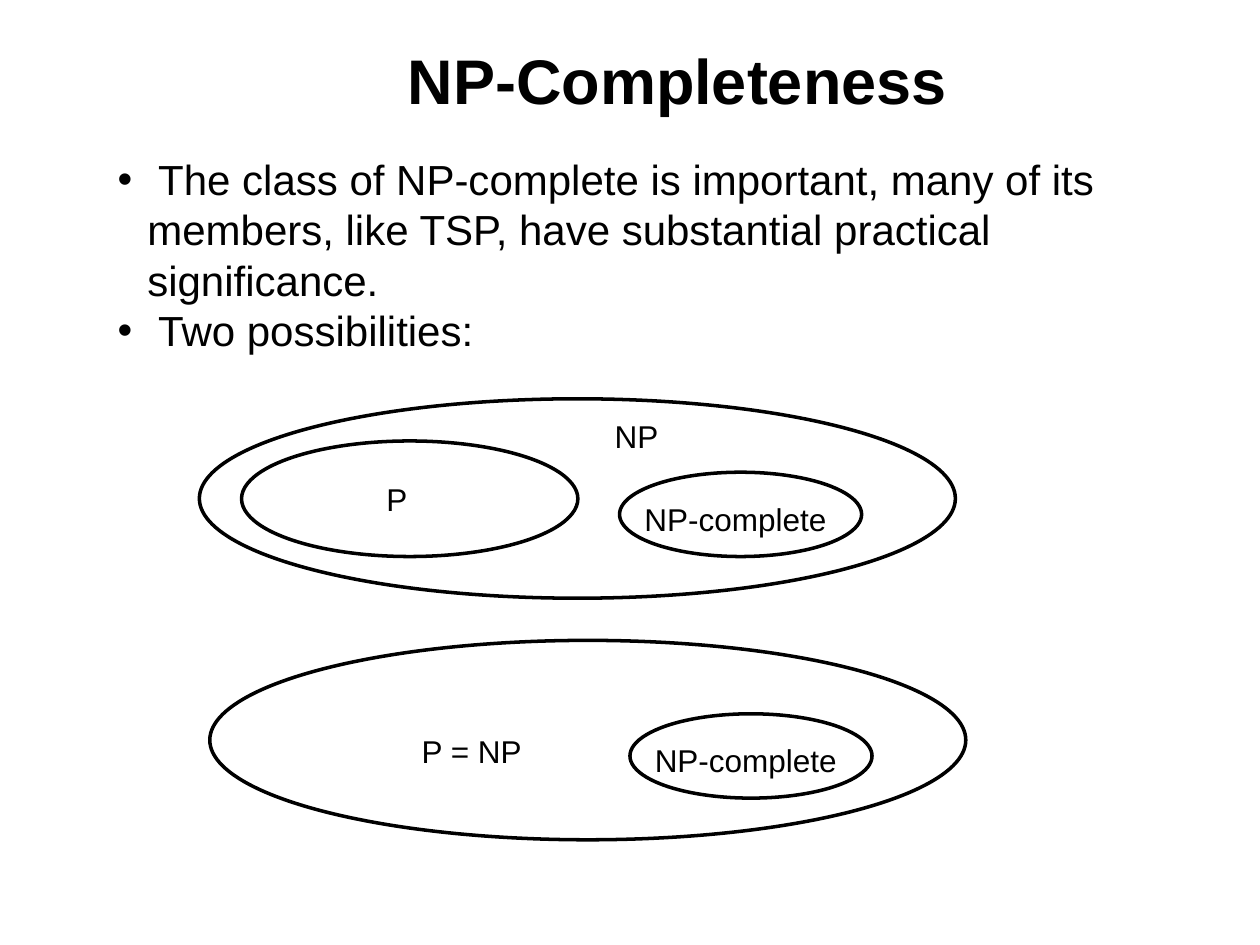
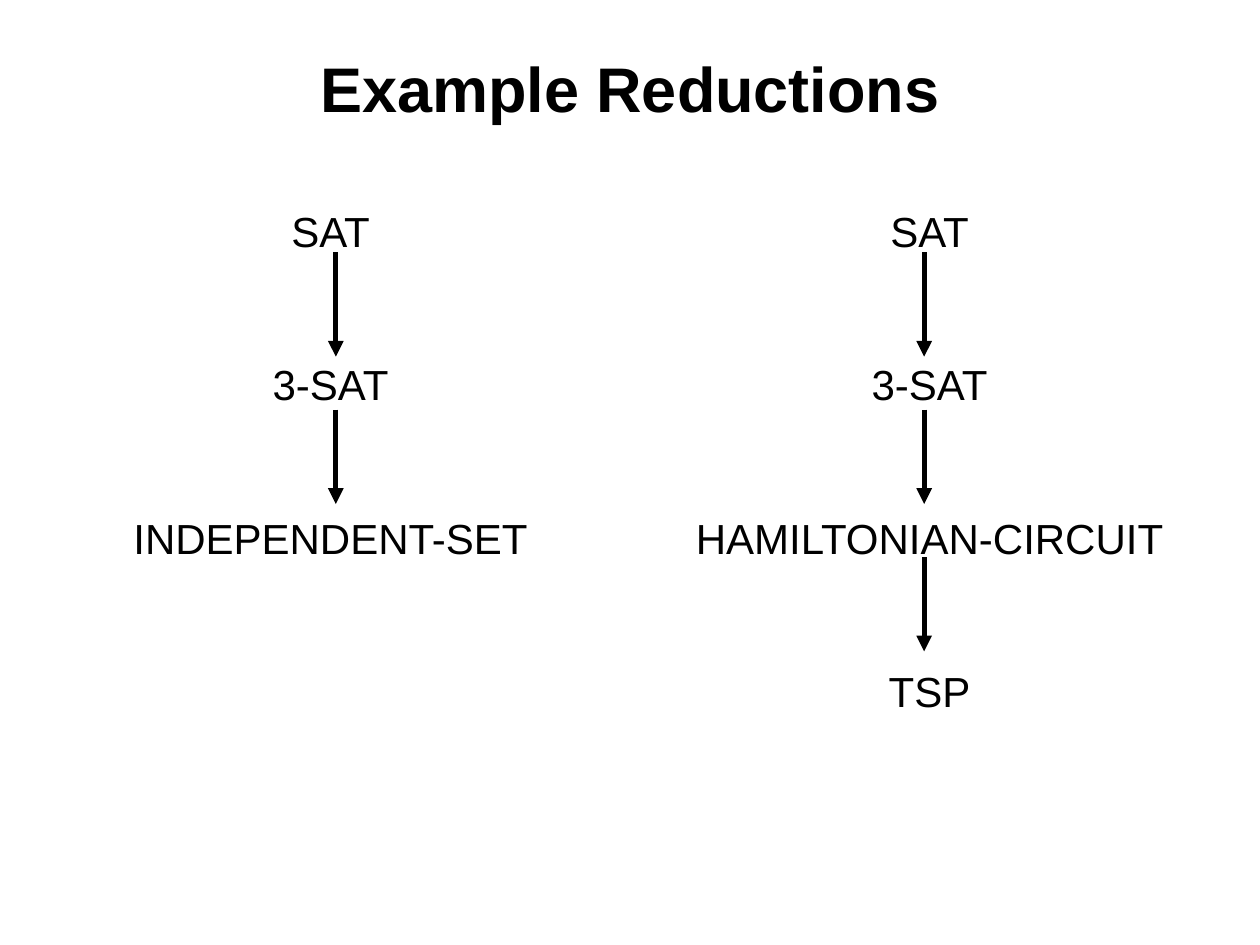
import pptx
import pptx.util
import pptx.dml.color
import pptx.enum.shapes
import pptx.enum.text
import pptx.oxml
import pptx.oxml.ns
from lxml import etree

Cm = pptx.util.Cm
Pt = pptx.util.Pt
ALIGN = pptx.enum.text.PP_ALIGN
FONT = "Arial"
INK = "000000"
PAPER = "FFFFFF"
LEAD = 28.8


def paint(target, hue):
    target.rgb = pptx.dml.color.RGBColor.from_string(hue)


def node(parent, tag, **attrs):
    return etree.SubElement(parent, pptx.oxml.ns.qn(tag), **attrs)


def add_slide(deck):
    slide = deck.slides.add_slide(deck.slide_layouts[6])
    slide.background.fill.solid()
    paint(slide.background.fill.fore_color, PAPER)
    return slide


def add_text(slide, lines, area, size, align=ALIGN.LEFT, bold=False,
             wrap=True, gap=0, bullet=False, lead=None):
    box = slide.shapes.add_textbox(*map(Cm, area))
    frame = box.text_frame
    frame.word_wrap = wrap
    frame.auto_size = pptx.enum.text.MSO_AUTO_SIZE.SHAPE_TO_FIT_TEXT
    for index, line in enumerate(lines):
        para = frame.add_paragraph() if index else frame.paragraphs[0]
        para.text = line
        para.alignment = align
        if index:
            para.space_before = Pt(gap)
        if lead:
            para.line_spacing = Pt(lead)
        if bullet:
            props = para._p.get_or_add_pPr()
            props.set("marL", str(Cm(0.6)))
            props.set("indent", str(-Cm(0.6)))
            node(props, "a:buFont", typeface=FONT)
            node(props, "a:buChar", char="•")
        para.font.name = FONT
        para.font.size = Pt(size)
        para.font.bold = bold
        paint(para.font.color, INK)
    return frame


def add_title(slide, text, area):
    frame = add_text(slide, [text], area, 36, ALIGN.CENTER, bold=True)
    frame.auto_size = pptx.enum.text.MSO_AUTO_SIZE.NONE
    frame.vertical_anchor = pptx.enum.text.MSO_ANCHOR.MIDDLE


def add_label(slide, text, left, top, width):
    add_text(slide, [text], (left, top, width, 1.02), 18, wrap=False)


def add_oval(slide, *area):
    kind = pptx.enum.shapes.MSO_SHAPE.OVAL
    oval = slide.shapes.add_shape(kind, *map(Cm, area))
    oval.shadow.inherit = False
    oval.fill.background()
    oval.line.width = Pt(2)
    paint(oval.line.color, INK)


def add_arrow(slide, x, top, end):
    kind = pptx.enum.shapes.MSO_CONNECTOR.STRAIGHT
    arrow = slide.shapes.add_connector(kind, Cm(x), Cm(top), Cm(x), Cm(end))
    arrow.line.width = Pt(3)
    paint(arrow.line.color, INK)
    node(arrow.line._get_or_add_ln(), "a:tailEnd", type="triangle")
    node(arrow._element.spPr, "a:effectLst")


def add_world(slide, left, top):
    add_oval(slide, left, top, 15.24, 4.02)
    add_oval(slide, left + 8.47, top + 1.48, 4.88, 1.7)
    add_label(slide, "NP-complete", left + 8.72, top + 1.91, 4.3)


def add_chain(slide, names, left, width, x):
    spans = [(5.08, 7.19), (8.26, 10.16), (11.23, 13.13)]
    height = 2.7 + 3.09 * (len(names) - 1)
    add_text(slide, names, (left, 4.02, width, height), 24, ALIGN.CENTER,
             gap=LEAD + 30, lead=LEAD)
    for top, end in spans[:len(names) - 1]:
        add_arrow(slide, x, top, end)


def show_classes(deck):
    slide = add_slide(deck)
    add_title(slide, "NP-Completeness", (2.54, 0.42, 22.23, 2.34))
    points = [
        " The class of NP-complete is important, many of its members, "
        "like TSP, have substantial practical significance.",
        " Two possibilities:",
    ]
    add_text(slide, points, (2.12, 2.97, 22.86, 4.3), 24,
             bullet=True, lead=LEAD)
    add_world(slide, 4.02, 8.04)
    add_oval(slide, 4.87, 8.89, 6.78, 2.33)
    add_label(slide, "NP", 12.14, 8.28, 1.6)
    add_label(slide, "P", 7.54, 9.55, 1)
    add_world(slide, 4.23, 12.91)
    add_label(slide, "P = NP", 8.25, 14.63, 2.7)


def show_chains(deck):
    slide = add_slide(deck)
    add_title(slide, "Example Reductions", (1.27, 0.77, 22.86, 1.98))
    start = ["SAT", "3-SAT"]
    add_chain(slide, start + ["INDEPENDENT-SET"], 1.9, 9.53, 6.77)
    add_chain(slide, start + ["HAMILTONIAN-CIRCUIT", "TSP"],
              12.49, 12.5, 18.63)


def main():
    deck = pptx.Presentation()
    deck.slide_width = Cm(25.4)
    deck.slide_height = Cm(19.05)
    show_classes(deck)
    show_chains(deck)
    deck.save("out.pptx")


if __name__ == "__main__":
    main()
